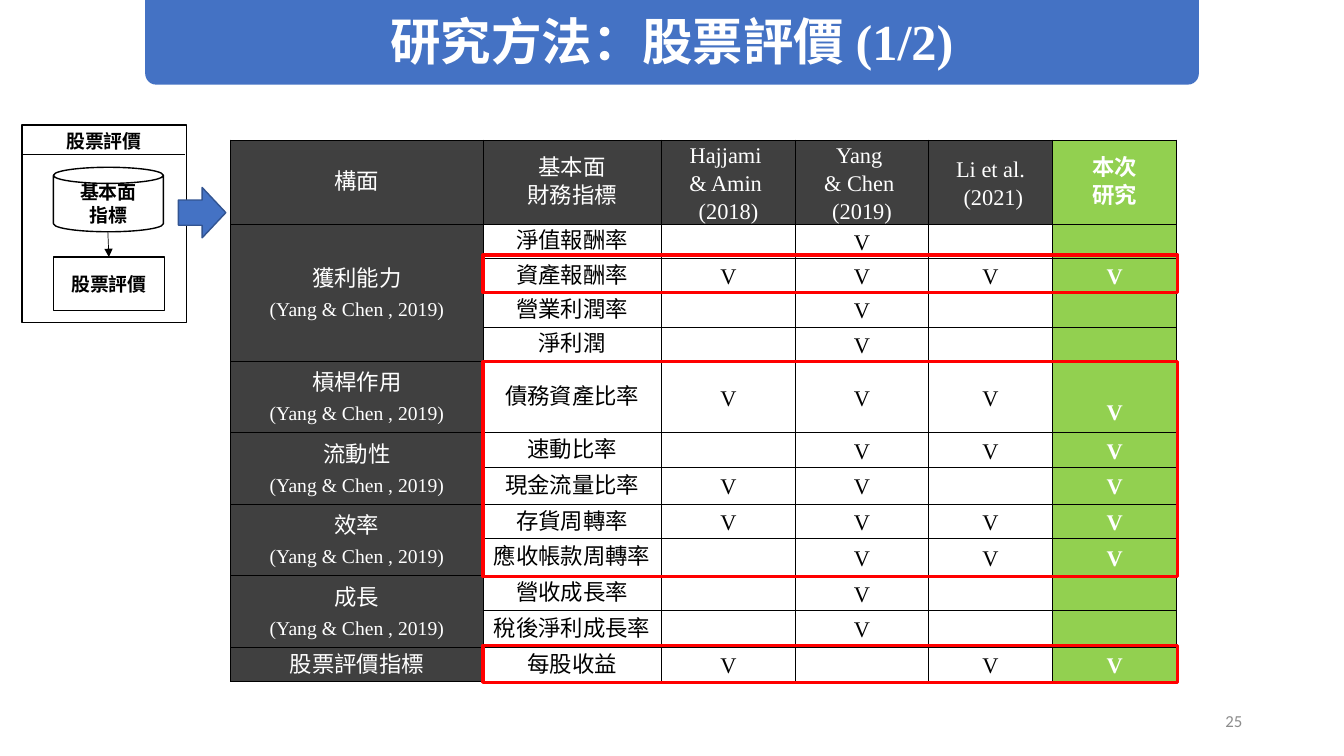
"""Build the slide on stock valuation indicators and their sources."""
from lxml.etree import SubElement
from pptx import Presentation
from pptx.dml.color import RGBColor
from pptx.enum.shapes import MSO_CONNECTOR as Connector, MSO_SHAPE as Shape
from pptx.enum.text import MSO_ANCHOR as Anchor, PP_ALIGN as Align
from pptx.oxml import parse_xml
from pptx.oxml.ns import nsdecls, qn
from pptx.util import Inches, Pt

BLUE, NAVY, DARK, GREEN = "4472C4", "325491", "404040", "92D050"
BLACK, WHITE, RED, GRAY = "000000", "FFFFFF", "FF0000", "8C8C8C"
SERIF, CJK = "Times New Roman", "Noto Sans CJK SC"

TITLE = [("研究方法：股票評價", CJK), (" (1/2)", SERIF)]
HEADERS = [["構面"], ["基本面", "財務指標"], ["Hajjami ", "& Amin ", "(2018)"],
           ["Yang ", "& Chen ", "(2019)"], ["Li et al.", " (2021)"], ["本次", "研究"]]
CITATION = "(Yang & Chen , 2019)"
ASPECTS = [
    (["獲利能力", CITATION], [("淨值報酬率", " V  ", 0.34), ("資產報酬率", "VVVV", 0.34),
                          ("營業利潤率", " V  ", 0.34), ("淨利潤", " V  ", 0.34)]),
    (["槓桿作用", CITATION], [("債務資產比率", ["V", "V", "V", "\vV"], 0.71)]),
    (["流動性", CITATION], [("速動比率", " VVV", 0.34), ("現金流量比率", "VV V", 0.37)]),
    (["效率", CITATION], [("存貨周轉率", "VVVV", 0.34), ("應收帳款周轉率", " VVV", 0.37)]),
    (["成長", CITATION], [("營收成長率", " V  ", 0.34), ("稅後淨利成長率", " V  ", 0.37)]),
    (["股票評價指標"], [("每股收益", "V VV", 0.34)]),
]
COLUMN_WIDTHS = [2.5, 1.77, 1.33, 1.32, 1.23, 1.23]
HEADER_HEIGHT = 0.83
TABLE_LEFT, TABLE_TOP = 2.29, 1.39
HIGHLIGHTS = [(2.53, 0.37), (3.59, 2.13), (6.4, 0.37)]
HIGHLIGHT_LEFT, HIGHLIGHT_WIDTH = 4.79, 6.89


def color(value):
    return RGBColor.from_string(value)


def write(para, text, size=16, font=SERIF, ink=BLACK, bold=False, align=Align.CENTER, spacing=None):
    para.alignment = align
    if spacing:
        para.line_spacing = Pt(spacing)
    if text.startswith("\v"):
        para.add_line_break()
    span = para.add_run()
    span.text = text.lstrip("\v")
    span.font.size, span.font.name, span.font.bold = Pt(size), font, bold
    span.font.color.rgb = color(ink)
    SubElement(span.font._element, qn("a:ea")).set("typeface", CJK)


def write_lines(frame, lines, **style):
    for index, line in enumerate(lines):
        para = frame.add_paragraph() if index else frame.paragraphs[0]
        write(para, line, **style)


def paint(target, fill):
    if fill:
        target.fill.solid()
        target.fill.fore_color.rgb = color(fill)
    else:
        target.fill.background()


def add_box(page, kind, place, fill=None, line=None, width=1, lines=()):
    box = page.shapes.add_shape(kind, *map(Inches, place))
    box.shadow.inherit = False
    paint(box, fill)
    if line:
        box.line.color.rgb = color(line)
        box.line.width = Pt(width)
    else:
        box.line.fill.background()
    box.text_frame.vertical_anchor = Anchor.MIDDLE
    write_lines(box.text_frame, lines, size=13.5, bold=True)
    return box


def add_text(page, place, text, **style):
    box = page.shapes.add_textbox(*map(Inches, place))
    box.text_frame.word_wrap = True
    box.text_frame.vertical_anchor = Anchor.MIDDLE
    write(box.text_frame.paragraphs[0], text, **style)


def add_line(page, start, end, arrow=False):
    connector = page.shapes.add_connector(Connector.STRAIGHT, *map(Inches, start + end))
    connector.line.color.rgb = color(BLACK)
    connector.line.width = Pt(0.5)
    properties = connector._element.spPr
    if arrow:
        SubElement(properties.find(qn("a:ln")), qn("a:tailEnd")).set("type", "triangle")
    SubElement(properties, qn("a:effectLst"))


def fill_cell(cell, lines, fill=None, **style):
    cell.margin_left = cell.margin_right = Inches(0.07)
    cell.margin_top = cell.margin_bottom = 0
    cell.vertical_anchor = Anchor.MIDDLE
    write_lines(cell.text_frame, lines, spacing=20, **style)
    properties = cell._tc.get_or_add_tcPr()
    for side in ("lnL", "lnR", "lnT", "lnB"):
        properties.append(parse_xml(
            f'<a:{side} {nsdecls("a")} w="9525"><a:solidFill>'
            f'<a:srgbClr val="{BLACK}"/></a:solidFill></a:{side}>'))
    paint(cell, fill)


def add_comparison(page):
    heights = [HEADER_HEIGHT] + [row[2] for aspect in ASPECTS for row in aspect[1]]
    place = (TABLE_LEFT, TABLE_TOP, sum(COLUMN_WIDTHS), sum(heights))
    table = page.shapes.add_table(len(heights), len(COLUMN_WIDTHS), *map(Inches, place)).table
    table.first_row = table.horz_banding = False
    for column, width in zip(table.columns, COLUMN_WIDTHS):
        column.width = Inches(width)
    for row, height in zip(table.rows, heights):
        row.height = Inches(height)
    own = len(HEADERS) - 1
    for column, lines in enumerate(HEADERS):
        fill = GREEN if column == own else DARK
        fill_cell(table.cell(0, column), lines, fill, ink=WHITE, bold=column == own)
    top = 1
    for lines, indicators in ASPECTS:
        for row, (indicator, marks, _) in enumerate(indicators, top):
            fill_cell(table.cell(row, 0), lines if row == top else [], DARK, ink=WHITE)
            fill_cell(table.cell(row, 1), [indicator])
            for column, mark in enumerate(marks, 2):
                style = {"fill": GREEN, "ink": WHITE, "bold": True} if column == own else {}
                fill_cell(table.cell(row, column), [] if mark == " " else [mark], **style)
        for para in table.cell(top, 0).text_frame.paragraphs[1:]:
            para.runs[0].font.size = Pt(14)
        bottom = top + len(indicators) - 1
        if bottom > top:
            table.cell(top, 0).merge(table.cell(bottom, 0))
        top = bottom + 1


def add_title(page):
    banner = add_box(page, Shape.ROUND_2_SAME_RECTANGLE, (1.44, 0, 10.45, 0.84), BLUE)
    banner.adjustments[0], banner.adjustments[1] = 0, 0.13
    for text, font in TITLE:
        write(banner.text_frame.paragraphs[0], text, size=36, font=font, ink=WHITE, bold=True)


def add_process(page):
    add_box(page, Shape.RECTANGLE, (0.22, 1.24, 1.63, 1.96), line=BLACK)
    add_line(page, (0.23, 1.53), (1.84, 1.53))
    add_text(page, (0.32, 1.23, 1.42, 0.33), "股票評價", size=13.5, bold=True)
    add_box(page, Shape.CAN, (0.53, 1.66, 1.09, 0.64), WHITE, BLACK, lines=["基本面", "指標"])
    add_box(page, Shape.RECTANGLE, (0.53, 2.55, 1.1, 0.53), line=BLACK, lines=["股票評價"])
    add_line(page, (1.07, 2.3), (1.08, 2.55), arrow=True)
    add_box(page, Shape.RIGHT_ARROW, (1.77, 1.86, 0.47, 0.5), BLUE, NAVY)


def main():
    deck = Presentation()
    deck.slide_width, deck.slide_height = Inches(13.33), Inches(7.5)
    page = deck.slides.add_slide(deck.slide_layouts[6])
    add_title(page)
    add_text(page, (9.42, 6.95, 3, 0.4), "25", size=12, font="Calibri", ink=GRAY, align=Align.RIGHT)
    add_comparison(page)
    for top, height in HIGHLIGHTS:
        place = (HIGHLIGHT_LEFT, top, HIGHLIGHT_WIDTH, height)
        add_box(page, Shape.RECTANGLE, place, line=RED, width=2.25)
    add_process(page)
    deck.save("out.pptx")


if __name__ == "__main__":
    main()
